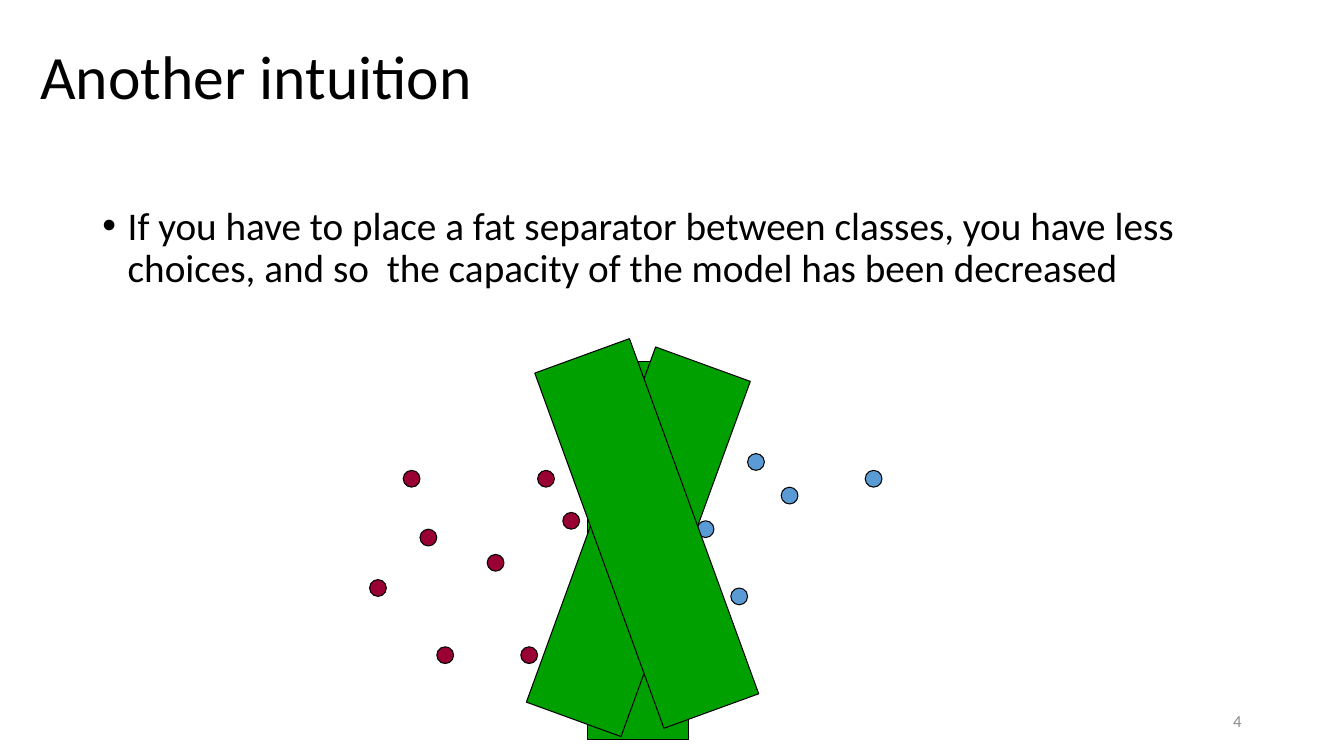
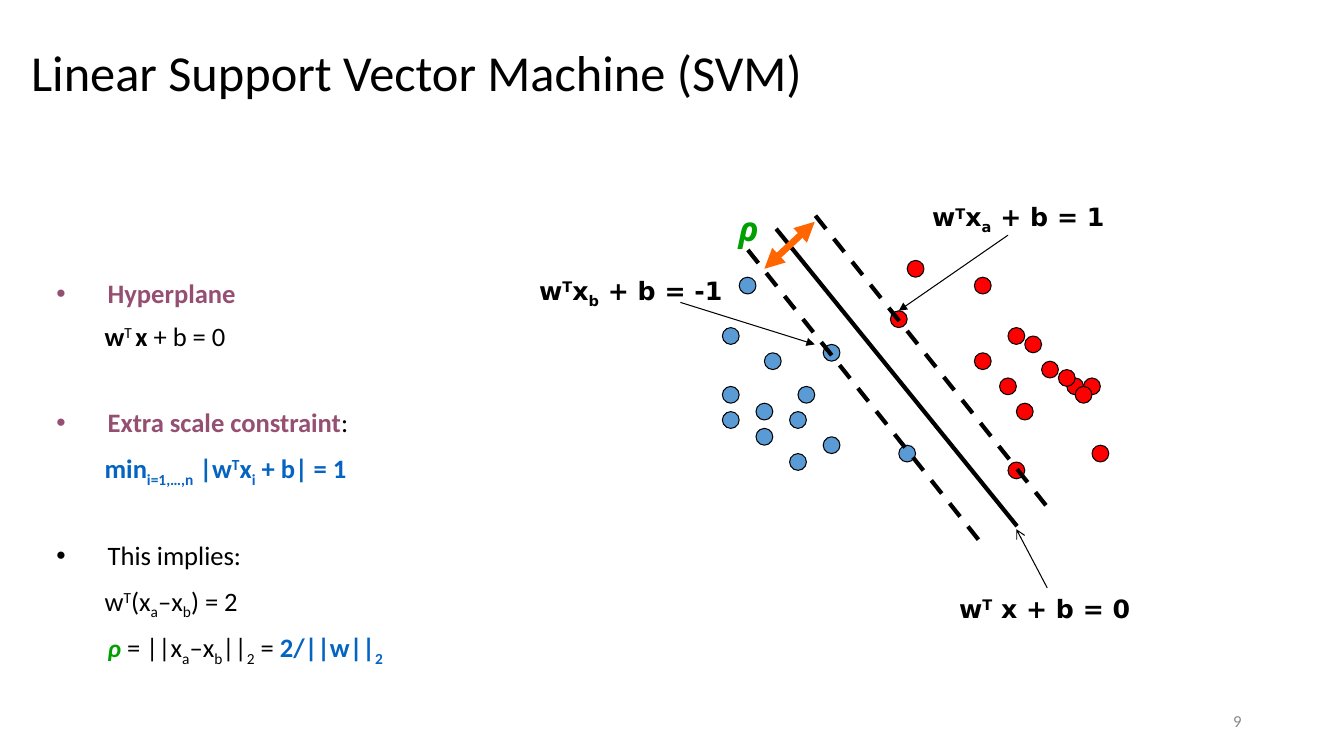
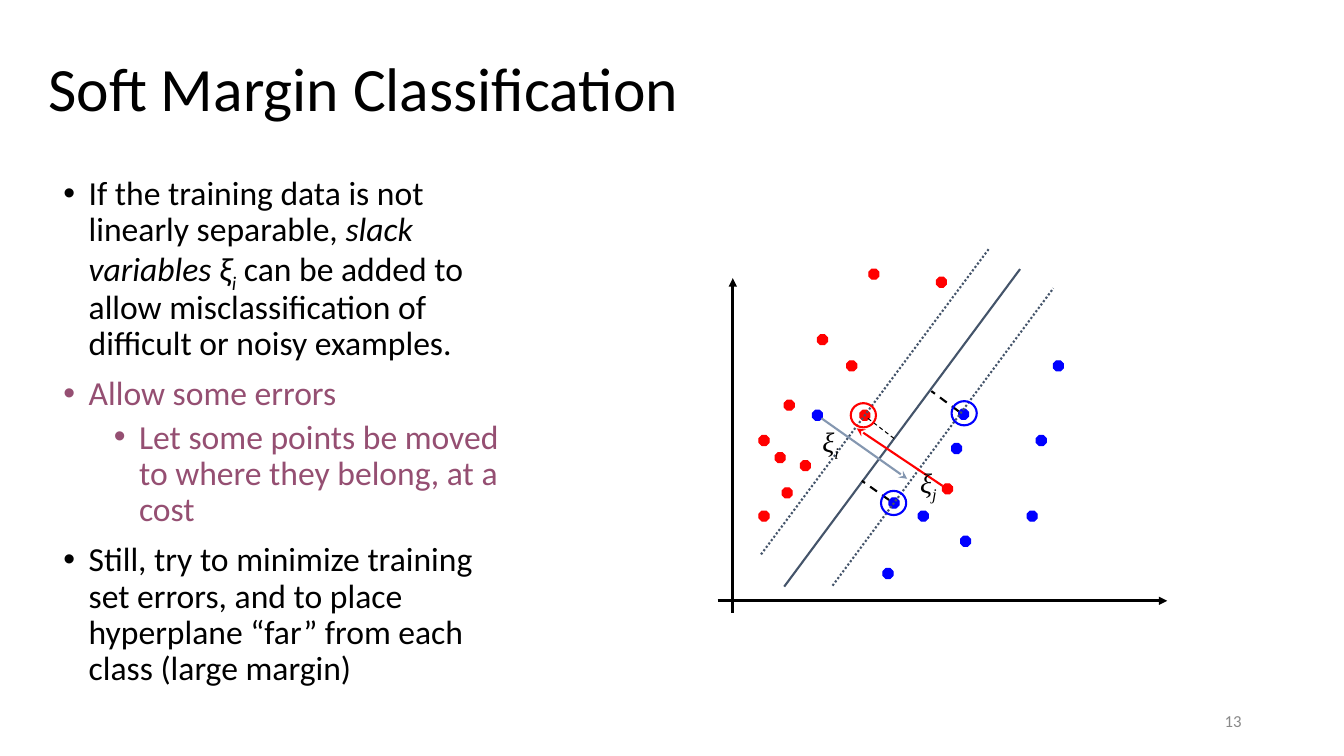
from dataclasses import dataclass

from lxml import etree
from pptx import Presentation
from pptx.dml.color import RGBColor
from pptx.enum.dml import MSO_LINE
from pptx.enum.shapes import MSO_CONNECTOR, MSO_SHAPE
from pptx.enum.text import MSO_ANCHOR, MSO_AUTO_SIZE, PP_ALIGN
from pptx.oxml.ns import qn
from pptx.util import Inches, Pt

CIRCLE, OCTAGON, BAR = MSO_SHAPE.OVAL, MSO_SHAPE.OCTAGON, MSO_SHAPE.RECTANGLE
STRAIGHT = MSO_CONNECTOR.STRAIGHT
DASH, DOTTED = MSO_LINE.DASH, MSO_LINE.ROUND_DOT
LEFT, RIGHT = PP_ALIGN.LEFT, PP_ALIGN.RIGHT
MIDDLE = MSO_ANCHOR.MIDDLE
FIXED = MSO_AUTO_SIZE.NONE

COLUMNS, ROWS = 160, 90
CELL = Inches(1) / 12


@dataclass(frozen=True)
class Theme:
    font: str = "Calibri"
    label_font: str = "DejaVu Sans"
    rho_font: str = "Noto Sans"
    slack_font: str = "Times New Roman"
    black: str = "000000"
    grey: str = "898989"
    green: str = "00A000"
    maroon: str = "990033"
    sky: str = "5B9BD5"
    red: str = "FF0000"
    blue: str = "0000FF"
    orange: str = "FF6600"
    purple: str = "954F72"
    link: str = "0563C1"
    slate: str = "44546A"
    pale_slate: str = "8497B0"
    title_size: int = 44
    long_title_size: int = 36
    number_size: int = 12
    label_size: int = 18
    thin: float = 0.75
    medium: float = 1.5
    axis: float = 2
    thick: float = 3
    margin_arrow: float = 4.75


THEME = Theme()


@dataclass(frozen=True)
class Span:
    text: str
    color: str = THEME.black
    bold: bool = False
    italic: bool = False
    base: int = 0
    size: float = 0


@dataclass(frozen=True)
class Item:
    spans: list
    margin: float = 0.25
    hang: float = 0.25
    before: float = 10
    level: int = 0


def sup(text, **style):
    return Span(text, base=30, **style)


def sub(text, **style):
    return Span(text, base=-25, **style)


def cells(*values):
    return [round(value * CELL) for value in values]


def place(shape, box):
    shape.left, shape.top, shape.width, shape.height = cells(*box)


def write(para, spans, font, size):
    for part in spans:
        span = para.add_run()
        span.text = part.text
        span.font.name = font
        span.font.size = Pt(part.size or size)
        span.font.bold = part.bold
        span.font.italic = part.italic
        span.font.color.rgb = RGBColor.from_string(part.color)
        if part.base:
            span._r.get_or_add_rPr().set("baseline", str(part.base * 1000))


def set_bullet(para, margin, hang):
    properties = para._p.get_or_add_pPr()
    properties.set("marL", str(Inches(margin)))
    properties.set("indent", str(-Inches(hang)))
    if hang:
        etree.SubElement(properties, qn("a:buChar")).set("char", "•")
    else:
        etree.SubElement(properties, qn("a:buNone"))


def add_text(page, box, spans, font, size, wrap=False, align=LEFT, anchor=None):
    frame = page.shapes.add_textbox(*cells(*box)).text_frame
    frame.word_wrap = wrap
    frame.vertical_anchor = anchor
    para = frame.paragraphs[0]
    para.alignment = align
    write(para, spans, font, size)


def add_page(deck, title, box, number, size=THEME.title_size):
    page = deck.slides.add_slide(deck.slide_layouts[1])
    place(page.shapes.title, box)
    frame = page.shapes.title.text_frame
    frame.auto_size = FIXED
    frame.vertical_anchor = MIDDLE
    para = frame.paragraphs[0]
    para.alignment = LEFT
    para.line_spacing = 0.9
    write(para, [Span(title)], THEME.font, size)
    add_text(page, (113, 83.4, 36, 4.8), [Span(number, THEME.grey)], THEME.font,
             THEME.number_size, wrap=True, align=RIGHT, anchor=MIDDLE)
    return page


def fill_body(page, box, items, size, top_inset=0.05):
    body = page.placeholders[1]
    place(body, box)
    frame = body.text_frame
    frame.auto_size = FIXED
    frame.margin_top = Inches(top_inset)
    for index, item in enumerate(items):
        para = frame.add_paragraph() if index else frame.paragraphs[0]
        para.level = item.level
        para.line_spacing = 0.9
        para.space_before = Pt(item.before)
        para.space_after = Pt(0)
        set_bullet(para, item.margin, item.hang)
        write(para, item.spans, THEME.font, size)


def add_shape(page, kind, box, fill, line=THEME.black, width=THEME.thin, turn=0):
    shape = page.shapes.add_shape(kind, *cells(*box))
    shape.shadow.inherit = False
    shape.rotation = turn
    if fill:
        shape.fill.solid()
        shape.fill.fore_color.rgb = RGBColor.from_string(fill)
    else:
        shape.fill.background()
    shape.line.color.rgb = RGBColor.from_string(line)
    shape.line.width = Pt(width)


def add_points(page, kind, size, color, line, corners):
    for column, row in corners:
        add_shape(page, kind, (column, row, size, size), color, line)


def add_line(page, start, end, color=THEME.black, width=THEME.thin,
             dash=None, head=None, tail=None):
    line = page.shapes.add_connector(STRAIGHT, *cells(*start, *end))
    line.line.color.rgb = RGBColor.from_string(color)
    line.line.width = Pt(width)
    if dash:
        line.line.dash_style = dash
    properties = line.element.spPr
    outline = properties.find(qn("a:ln"))
    for tag, arrow in (("a:headEnd", head), ("a:tailEnd", tail)):
        if arrow:
            etree.SubElement(outline, qn(tag)).set("type", arrow)
    etree.SubElement(properties, qn("a:effectLst"))


def build_intuition(deck):
    page = add_page(deck, "Another intuition", (3.6, 0.72, 138, 17.4), "4")
    fill_body(page, (11, 24, 138, 57.1), [Item([Span(
        "If you have to place a fat separator between classes, you have less "
        "choices, and so  the capacity of the model has been decreased")])], 28)
    add_points(page, CIRCLE, 2, THEME.maroon, THEME.black, [
        (48, 56), (50, 63), (52, 77), (64, 56), (44, 69), (58, 66), (67, 61), (62, 77)])
    add_points(page, CIRCLE, 2, THEME.sky, THEME.black, [
        (83, 62), (87, 70), (89, 54), (103, 56), (93, 58)])
    for column, row, turn in ((70, 43, 0), (70, 42, 20), (71, 41, 340)):
        add_shape(page, BAR, (column, row, 12, 45), THEME.green, turn=turn)


def heading(spans, before=41):
    return Item(spans, margin=0.51, hang=0.51, before=before)


def formula(spans, margin=0.48):
    return Item(spans, margin=margin, hang=0)


def add_svm_text(page):
    purple = {"color": THEME.purple, "bold": True}
    link = {"color": THEME.link, "bold": True}
    difference = [sub("a"), Span("–x"), sub("b")]
    fill_body(page, (5.5, 22.5, 92.5, 57), [
        heading([Span("Hyperplane", **purple)], before=10),
        formula([Span("w", bold=True), sup("T "), Span("x", bold=True), Span(" + b = 0")]),
        heading([Span("Extra scale constraint", **purple), Span(":")]),
        formula([Span("min", **link), sub("i=1,…,n", **link), Span(" |w", **link),
                 sup("T", **link), Span("x", **link), sub("i", **link),
                 Span(" + b| = 1", **link)]),
        heading([Span("This implies:")]),
        formula([Span("w"), sup("T"), Span("(x"), *difference, Span(") = 2")]),
        formula([Span("ρ", THEME.green, bold=True, italic=True, size=18),
                 Span(" = ||x"), *difference, Span("||"), sub("2"), Span(" = "),
                 Span("2/||w||", **link), sub("2", **link)], margin=0.51),
    ], 19, top_inset=0.91)


def add_plane_label(page, box, *rest):
    spans = [Span("w", bold=True), sup("T", bold=True), *rest]
    add_text(page, box, spans, THEME.label_font, THEME.label_size)


def build_svm(deck):
    page = add_page(deck, "Linear Support Vector Machine (SVM)", (2.5, 1, 110.4, 16),
                    "9", THEME.long_title_size)
    add_svm_text(page)
    add_points(page, CIRCLE, 2, THEME.sky, THEME.black, [
        (88, 33), (86, 46), (91, 42), (86, 49), (90, 51), (94, 49), (98, 52),
        (90, 48), (86, 39), (98, 41), (107, 53), (95, 46), (94, 54)])
    add_points(page, CIRCLE, 2, THEME.red, THEME.black, [
        (108, 31), (116, 33), (120, 39), (106, 37), (124, 43), (127, 45), (121, 48),
        (129, 45), (130, 53), (120, 55), (116, 42), (122, 40), (119, 45), (126, 44),
        (128, 46)])
    for start, end, dash in (((92.4, 27.24), (121.08, 62.64), None),
                             ((89.04, 29.76), (116.64, 64.44), DASH),
                             ((97.08, 25.68), (124.68, 60.36), DASH)):
        add_line(page, start, end, width=THEME.thick, dash=dash)
    add_plane_label(page, (113, 70, 23.28, 4.8), Span(" x + b = 0", bold=True))
    for box, index, value in (((109.8, 23.4, 23.64, 4.8), "a", " + b = 1"),
                              ((63, 32.16, 25.08, 4.8), "b", " + b = -1")):
        add_plane_label(page, box, Span("x", bold=True), sub(index, bold=True),
                        Span(value, bold=True))
    for start, end, arrow in (((120, 28), (107, 37), "triangle"),
                              ((81, 36), (97, 41), "triangle"),
                              ((124.68, 70), (121, 63), "arrow")):
        add_line(page, start, end, tail=arrow)
    add_line(page, (91, 32), (97, 26.4), THEME.orange, THEME.margin_arrow,
             head="triangle", tail="triangle")
    add_text(page, (86.76, 24.12, 4.56, 6),
             [Span("ρ", THEME.green, bold=True, italic=True)], THEME.rho_font, 24)


def add_soft_margin_text(page):
    fill_body(page, (6.36, 20.4, 55, 64), [
        Item([Span("If the training data is not linearly separable, "),
              Span("slack variables ξ", italic=True), sub("i", italic=True),
              Span(" can be added to allow misclassification of difficult or "
                   "noisy examples.")]),
        Item([Span("Allow some errors", THEME.purple)]),
        Item([Span("Let some points be moved to where they belong, at a cost",
                   THEME.purple)], margin=0.75, before=5, level=1),
        Item([Span("Still, try to minimize training set errors, and to place "
                   "hyperplane “far” from each class (large margin)")]),
    ], 24)


def build_soft_margin(deck):
    page = add_page(deck, "Soft Margin Classification", (4.56, 2.16, 138, 17.4), "13")
    add_soft_margin_text(page)
    for start, end in (((87.24, 72.96), (87.24, 33.12)),
                       ((85.44, 71.52), (138.96, 71.52))):
        add_line(page, start, end, width=THEME.axis, tail="triangle")
    add_points(page, OCTAGON, 1.2, THEME.red, THEME.red, [
        (100.8, 42.96), (93.36, 47.64), (95.28, 54.84), (90.36, 60.84),
        (97.32, 39.84), (90.36, 51.84), (92.28, 53.88), (102.36, 48.84),
        (103.44, 32.04), (111.48, 33), (93.12, 58.08), (112.2, 57.6)])
    add_points(page, OCTAGON, 1.2, THEME.blue, THEME.blue, [
        (114.12, 48.72), (109.32, 60.84), (122.28, 60.84), (105.12, 67.68),
        (113.28, 52.8), (105.84, 59.28), (114.36, 63.84), (123.36, 51.84),
        (125.4, 42.96), (96.72, 48.84)])
    for start, end, dash in (((93.36, 69.84), (121.44, 32.04), None),
                             ((99.12, 69.72), (125.4, 34.32), DOTTED),
                             ((90.6, 66), (117.72, 29.64), DOTTED)):
        add_line(page, start, end, THEME.slate, THEME.medium, dash)
    for start, end, width in (((114.12, 48.96), (110.88, 46.56), THEME.medium),
                              ((105.84, 59.52), (102.6, 57.24), THEME.medium),
                              ((106.44, 52.2), (103.32, 49.8), THEME.thin)):
        add_line(page, start, end, width=width, dash=DASH)
    for column, row, color in ((101.28, 48, THEME.red), (104.88, 58.44, THEME.blue),
                               (113.28, 47.76, THEME.blue)):
        add_shape(page, CIRCLE, (column, row, 3, 2.88), None, color, THEME.medium)
    for start, end, color in (((112.2, 57.84), (102, 51), THEME.red),
                              ((97.8, 49.8), (108, 57), THEME.pale_slate)):
        add_line(page, start, end, color, THEME.medium, tail="stealth")
    for column, row, index in ((108.36, 54.84, "j"), (96.72, 49.92, "i")):
        add_text(page, (column, row, 9.24, 5.16),
                 [Span("ξ", italic=True), sub(index, italic=True)],
                 THEME.slack_font, 20, wrap=True)


def main():
    deck = Presentation()
    deck.slide_width, deck.slide_height = cells(COLUMNS, ROWS)
    build_intuition(deck)
    build_svm(deck)
    build_soft_margin(deck)
    deck.save("out.pptx")


main()
